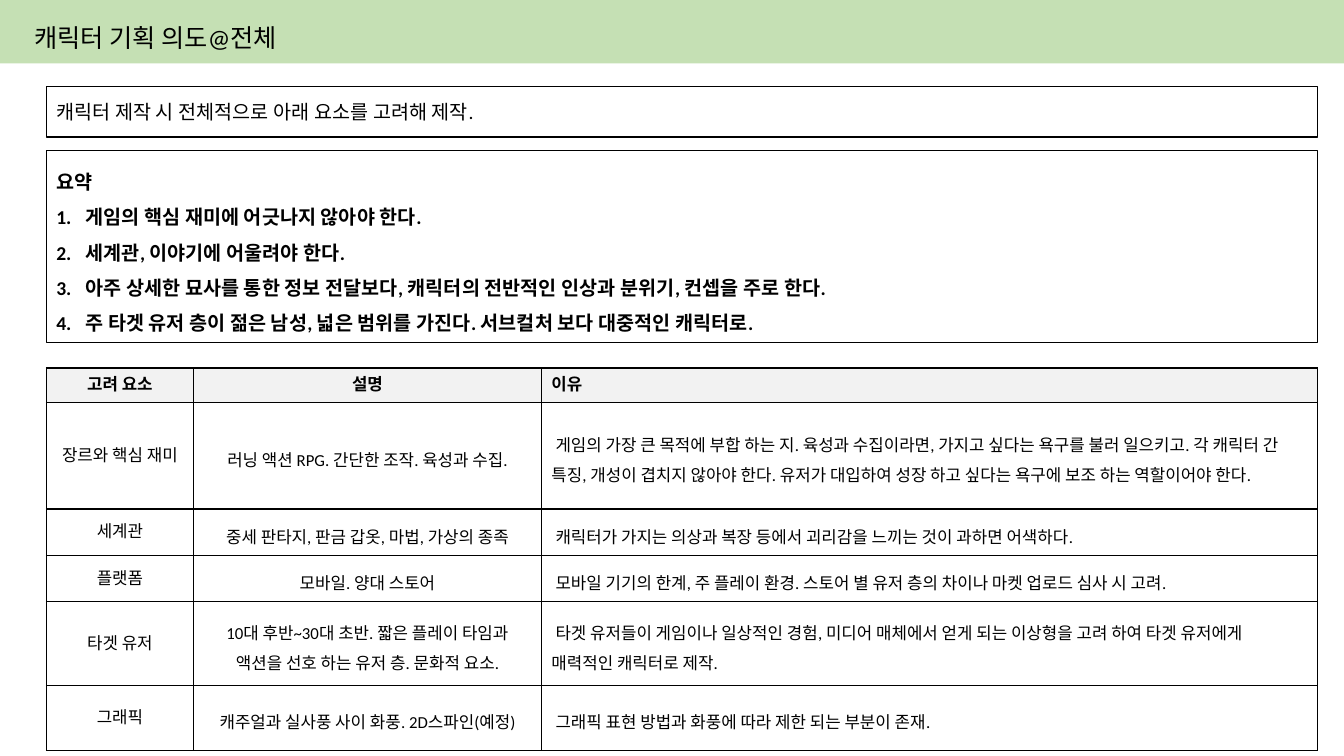
from lxml import etree
from pptx import Presentation
from pptx.dml.color import RGBColor
from pptx.enum.shapes import MSO_SHAPE
from pptx.enum.text import MSO_ANCHOR, PP_ALIGN
from pptx.oxml.ns import qn
from pptx.util import Inches, Pt

RECT = MSO_SHAPE.RECTANGLE
MIDDLE = MSO_ANCHOR.MIDDLE
LEFT, CENTER = PP_ALIGN.LEFT, PP_ALIGN.CENTER

FONT = "Calibri"
COLORS = {"band": "C5E0B4", "head": "F2F2F2", "white": "FFFFFF", "black": "000000"}
EDGE, WIDTH = 0.46, 12.61

SUMMARY = [
    "게임의 핵심 재미에 어긋나지 않아야 한다.",
    "세계관, 이야기에 어울려야 한다.",
    "아주 상세한 묘사를 통한 정보 전달보다, 캐릭터의 전반적인 인상과 분위기, 컨셉을 주로 한다.",
    "주 타겟 유저 층이 젊은 남성, 넓은 범위를 가진다. 서브컬처 보다 대중적인 캐릭터로.",
]

COLS = [1.46, 3.45, 7.7]
ROWS = [0.34, 1.06, 0.46, 0.46, 0.83, 0.65]
FACTORS = [
    ("고려 요소", "설명", "이유"),
    ("장르와 핵심 재미", "러닝 액션 RPG. 간단한 조작. 육성과 수집.",
     "게임의 가장 큰 목적에 부합 하는 지. 육성과 수집이라면, 가지고 싶다는 욕구를 불러 일으키고. "
     "각 캐릭터 간 특징, 개성이 겹치지 않아야 한다. 유저가 대입하여 성장 하고 싶다는 욕구에 "
     "보조 하는 역할이어야 한다."),
    ("세계관", "중세 판타지, 판금 갑옷, 마법, 가상의 종족",
     "캐릭터가 가지는 의상과 복장 등에서 괴리감을 느끼는 것이 과하면 어색하다."),
    ("플랫폼", "모바일. 양대 스토어",
     "모바일 기기의 한계, 주 플레이 환경. 스토어 별 유저 층의 차이나 마켓 업로드 심사 시 고려."),
    ("타겟 유저", "10대 후반~30대 초반. 짧은 플레이 타임과 액션을 선호 하는 유저 층. 문화적 요소.",
     "타겟 유저들이 게임이나 일상적인 경험, 미디어 매체에서 얻게 되는 이상형을 고려 하여 "
     "타겟 유저에게 매력적인 캐릭터로 제작."),
    ("그래픽", "캐주얼과 실사풍 사이 화풍. 2D스파인(예정)",
     "그래픽 표현 방법과 화풍에 따라 제한 되는 부분이 존재."),
]


def color(name):
    return RGBColor.from_string(COLORS[name])


def write(par, text, size=14, bold=False, align=LEFT, spacing=1.0,
          margin=0, indent=0, number=False):
    props = par._p.get_or_add_pPr()
    props.set("marL", str(Inches(margin)))
    props.set("indent", str(Inches(indent)))
    if number:
        etree.SubElement(props, qn("a:buFont"), typeface="+mj-lt")
        etree.SubElement(props, qn("a:buAutoNum"), type="arabicPeriod")
    par.alignment = align
    par.line_spacing = spacing
    run = par.add_run()
    run.text = text
    run.font.size = Pt(size)
    run.font.bold = bold
    run.font.color.rgb = color("black")
    run.font.name = FONT
    # Hangul takes the East Asian typeface
    etree.SubElement(run._r.get_or_add_rPr(), qn("a:ea"), typeface=FONT)


def add_box(slide, left, top, width, height, fill, line=None):
    box = slide.shapes.add_shape(RECT, Inches(left), Inches(top),
                                 Inches(width), Inches(height))
    box.shadow.inherit = False
    box.fill.solid()
    box.fill.fore_color.rgb = color(fill)
    if line:
        box.line.color.rgb = color(line)
        box.line.width = Pt(1)
    else:
        box.line.fill.background()
    box.text_frame.word_wrap = True
    box.text_frame.vertical_anchor = MIDDLE
    return box.text_frame


def add_title(slide, text):
    box = slide.shapes.add_textbox(Inches(0.24), Inches(0), Inches(12.54), Inches(0.6))
    frame = box.text_frame
    frame.word_wrap = True
    frame.vertical_anchor = MIDDLE
    write(frame.paragraphs[0], text, size=18, spacing=1.5)


def style_cell(cell, fill):
    props = cell._tc.get_or_add_tcPr()
    for side in ("a:lnL", "a:lnR", "a:lnT", "a:lnB"):
        line = etree.SubElement(props, qn(side), w=str(Pt(1)))
        solid = etree.SubElement(line, qn("a:solidFill"))
        etree.SubElement(solid, qn("a:srgbClr"), val=COLORS["black"])
    cell.fill.solid()
    cell.fill.fore_color.rgb = color(fill)
    cell.vertical_anchor = MIDDLE


def add_factors(slide, top):
    frame = slide.shapes.add_table(len(ROWS), len(COLS), Inches(EDGE), Inches(top),
                                   Inches(WIDTH), Inches(sum(ROWS)))
    table = frame.table
    for col, width in zip(table.columns, COLS):
        col.width = Inches(width)
    for row, height in zip(table.rows, ROWS):
        row.height = Inches(height)
    for r, texts in enumerate(FACTORS):
        head = r == 0
        for c, text in enumerate(texts):
            cell = table.cell(r, c)
            style_cell(cell, "head" if head else "white")
            write(cell.text_frame.paragraphs[0], text, size=12, bold=head,
                  align=LEFT if c == 2 else CENTER,
                  spacing=1.0 if head or c == 0 else 1.5,
                  indent=0.04 if c == 2 and not head else 0)


def main():
    deck = Presentation()
    deck.slide_width, deck.slide_height = Inches(13.33), Inches(7.5)
    slide = deck.slides.add_slide(deck.slide_layouts[6])

    # Header band and title
    add_box(slide, 0, 0, 13.33, 0.63, "band")
    add_title(slide, "캐릭터 기획 의도@전체")

    # Factor table
    add_factors(slide, 3.65)

    # Lead sentence
    lead = add_box(slide, EDGE, 0.86, WIDTH, 0.5, "white", "black")
    write(lead.paragraphs[0], "캐릭터 제작 시 전체적으로 아래 요소를 고려해 제작.")

    # Numbered summary
    recap = add_box(slide, EDGE, 1.49, WIDTH, 1.91, "white", "black")
    write(recap.paragraphs[0], "요약", bold=True, spacing=1.5)
    for point in SUMMARY:
        write(recap.add_paragraph(), point, bold=True, spacing=1.5,
              margin=0.29, indent=-0.29, number=True)

    deck.save("out.pptx")


if __name__ == "__main__":
    main()
